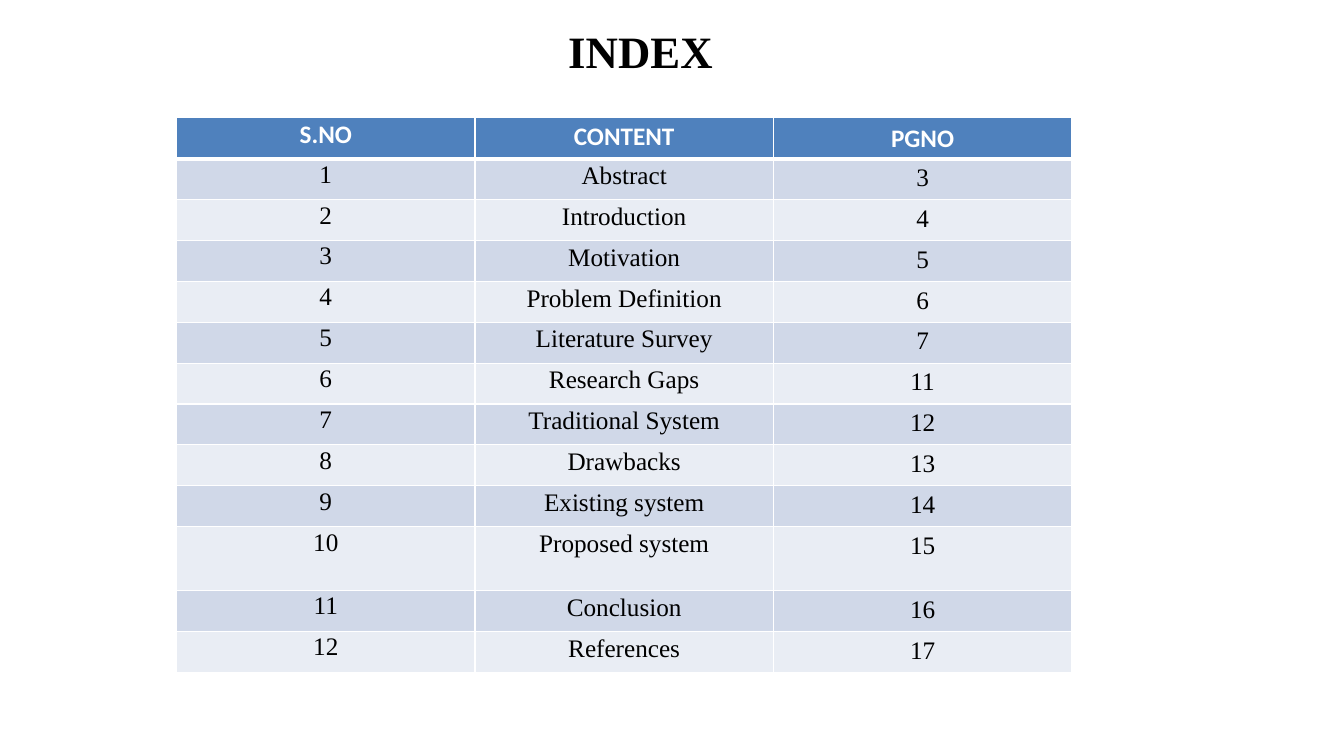
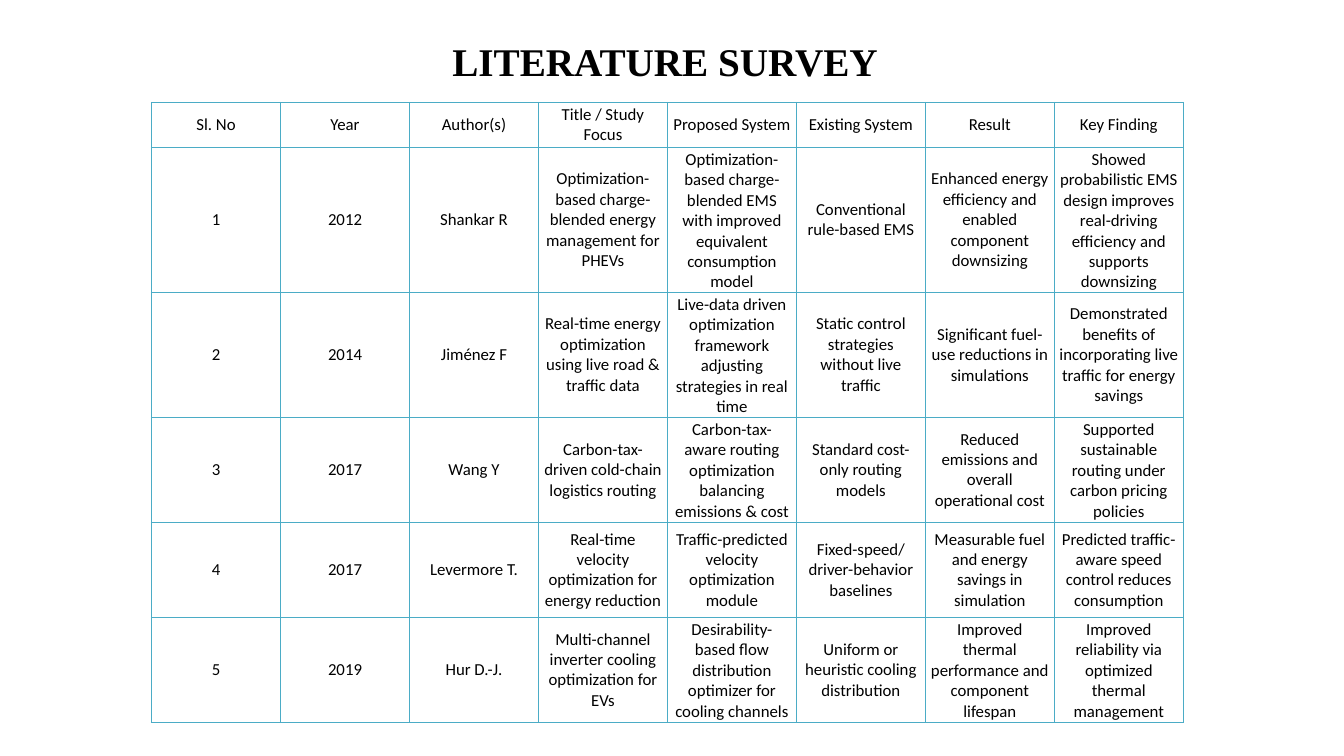
from lxml.etree import SubElement
from pptx import Presentation
from pptx.dml.color import RGBColor
from pptx.enum.text import MSO_ANCHOR as Anchor, MSO_AUTO_SIZE as AutoSize, PP_ALIGN as Align
from pptx.oxml.ns import qn
from pptx.util import Cm, Pt

BLACK = RGBColor(0x00, 0x00, 0x00)
WHITE = RGBColor(0xFF, 0xFF, 0xFF)
HEADER_BLUE = RGBColor(0x4F, 0x81, 0xBD)
BAND_DARK = RGBColor(0xD0, 0xD8, 0xE8)
BAND_LIGHT = RGBColor(0xE9, 0xED, 0xF4)
TEAL = RGBColor(0x4B, 0xAC, 0xC6)

SERIF = "Times New Roman"
SANS = "Calibri"

INDEX_HEADER = ("S.NO", "CONTENT", "PGNO")
INDEX_ENTRIES = (
    ("Abstract", 3),
    ("Introduction", 4),
    ("Motivation", 5),
    ("Problem Definition", 6),
    ("Literature Survey", 7),
    ("Research Gaps", 11),
    ("Traditional System", 12),
    ("Drawbacks", 13),
    ("Existing system", 14),
    ("Proposed system", 15),
    ("Conclusion", 16),
    ("References", 17),
)
INDEX_TOP_MARGINS = (0.05, 0.08, 0.13)

SURVEY_HEADER = ("Sl. No", "Year", "Author(s)", "Title / Study Focus", "Proposed System",
                 "Existing System", "Result", "Key Finding")
SURVEY_STUDIES = (
    ("2012", "Shankar R",
     "Optimization-based charge-blended energy management for PHEVs",
     "Optimization-based charge-blended EMS with improved equivalent consumption model",
     "Conventional rule-based EMS",
     "Enhanced energy efficiency and enabled component downsizing",
     "Showed probabilistic EMS design improves real-driving efficiency and supports downsizing"),
    ("2014", "Jiménez F",
     "Real-time energy optimization using live road & traffic data",
     "Live-data driven optimization framework adjusting strategies in real time",
     "Static control strategies without live traffic",
     "Significant fuel-use reductions in simulations",
     "Demonstrated benefits of incorporating live traffic for energy savings"),
    ("2017", "Wang Y",
     "Carbon-tax-driven cold-chain logistics routing",
     "Carbon-tax-aware routing optimization balancing emissions & cost",
     "Standard cost-only routing models",
     "Reduced emissions and overall operational cost",
     "Supported sustainable routing under carbon pricing policies"),
    ("2017", "Levermore T.",
     "Real-time velocity optimization for energy reduction",
     "Traffic-predicted velocity optimization module",
     "Fixed-speed/driver-behavior baselines",
     "Measurable fuel and energy savings in simulation",
     "Predicted traffic-aware speed control reduces consumption"),
    ("2019", "Hur D.-J.",
     "Multi-channel inverter cooling optimization for EVs",
     "Desirability-based flow distribution optimizer for cooling channels",
     "Uniform or heuristic cooling distribution",
     "Improved thermal performance and component lifespan",
     "Improved reliability via optimized thermal management"),
)


class Deck:
    """Holds the shared style and the current slide."""

    def __init__(self):
        self.presentation = Presentation()
        self.presentation.slide_width = Cm(33.87)
        self.presentation.slide_height = Cm(19.05)
        self.slide = None

    def add_slide(self, title, box, size, indent=0):
        layout = self.presentation.slide_layouts.get_by_name("Title Only")
        self.slide = self.presentation.slides.add_slide(layout)
        shape = self.slide.shapes.title
        shape.left, shape.top, shape.width, shape.height = map(Cm, box)
        frame = shape.text_frame
        frame.text = title
        frame.word_wrap = True
        frame.auto_size = AutoSize.SHAPE_TO_FIT_TEXT
        frame.vertical_anchor = Anchor.TOP
        frame.margin_left = Cm(indent)
        frame.margin_right = frame.margin_bottom = 0
        frame.margin_top = Cm(0.15 if indent else 0.03)
        self.format_text(frame.paragraphs[0], Align.LEFT, SERIF, size, BLACK, True)

    def format_text(self, paragraph, align, font_name, size, color, bold=False):
        paragraph.alignment = align
        for run in paragraph.runs:
            run.font.name = font_name
            run.font.size = Pt(size)
            run.font.bold = bold
            run.font.color.rgb = color

    def add_table(self, rows, left, top, column_width, row_heights):
        columns = len(rows[0])
        frame = self.slide.shapes.add_table(
            len(rows), columns, Cm(left), Cm(top),
            Cm(column_width * columns), Cm(sum(row_heights)))
        table = frame.table
        table.first_row = table.horz_banding = False
        for column in table.columns:
            column.width = Cm(column_width)
        for row, height, texts in zip(table.rows, row_heights, rows):
            row.height = Cm(height)
            for cell, text in zip(row.cells, texts):
                cell.text = str(text)
        return table

    def format_cell(self, cell, margins, anchor, fill, border, widths=(1, 1, 1, 1)):
        cell.margin_left, cell.margin_top, cell.margin_right, cell.margin_bottom = map(Cm, margins)
        cell.vertical_anchor = anchor
        properties = cell._tc.get_or_add_tcPr()
        for side, width in zip("LRTB", widths):
            line = SubElement(properties, qn(f"a:ln{side}"), w=str(Pt(width)))
            solid = SubElement(line, qn("a:solidFill"))
            SubElement(solid, qn("a:srgbClr"), val=str(border))
        if fill is None:
            cell.fill.background()
        else:
            cell.fill.solid()
            cell.fill.fore_color.rgb = fill

    def add_index_table(self):
        rows = [INDEX_HEADER]
        rows += [(number, *entry) for number, entry in enumerate(INDEX_ENTRIES, 1)]
        heights = [1.61 if "Proposed system" in row else 1.03 for row in rows]
        table = self.add_table(rows, 4.45, 2.97, 7.52, heights)
        for number, row in enumerate(table.rows):
            header = number == 0
            fill = HEADER_BLUE if header else (BAND_LIGHT, BAND_DARK)[number % 2]
            widths = (1, 1, 3 if number == 1 else 1, 3 if header else 1)
            for cell, top in zip(row.cells, INDEX_TOP_MARGINS):
                self.format_cell(cell, (0, top, 0, 0), Anchor.TOP, fill, WHITE, widths)
                self.format_text(cell.text_frame.paragraphs[0], Align.CENTER,
                                 SANS if header else SERIF, 18,
                                 WHITE if header else BLACK, header)

    def add_survey_table(self):
        rows = [SURVEY_HEADER]
        rows += [(number, *study) for number, study in enumerate(SURVEY_STUDIES, 1)]
        table = self.add_table(rows, 3.82, 2.58, 3.25, (1.13, 3.66, 3.15, 2.65, 2.39, 2.65))
        for cell in table.iter_cells():
            self.format_cell(cell, (0.1, 0.05, 0.1, 0.05), Anchor.MIDDLE, None, TEAL)
            self.format_text(cell.text_frame.paragraphs[0], Align.CENTER, SANS, 12, BLACK)


def main():
    deck = Deck()
    deck.add_slide("INDEX", (7.62, 0.45, 21.84, 2.21), 32, indent=6.7)
    deck.add_index_table()
    deck.add_slide("LITERATURE SURVEY", (11.4, 0.91, 11.24, 1.24), 28)
    deck.add_survey_table()
    deck.presentation.save("out.pptx")


if __name__ == "__main__":
    main()
